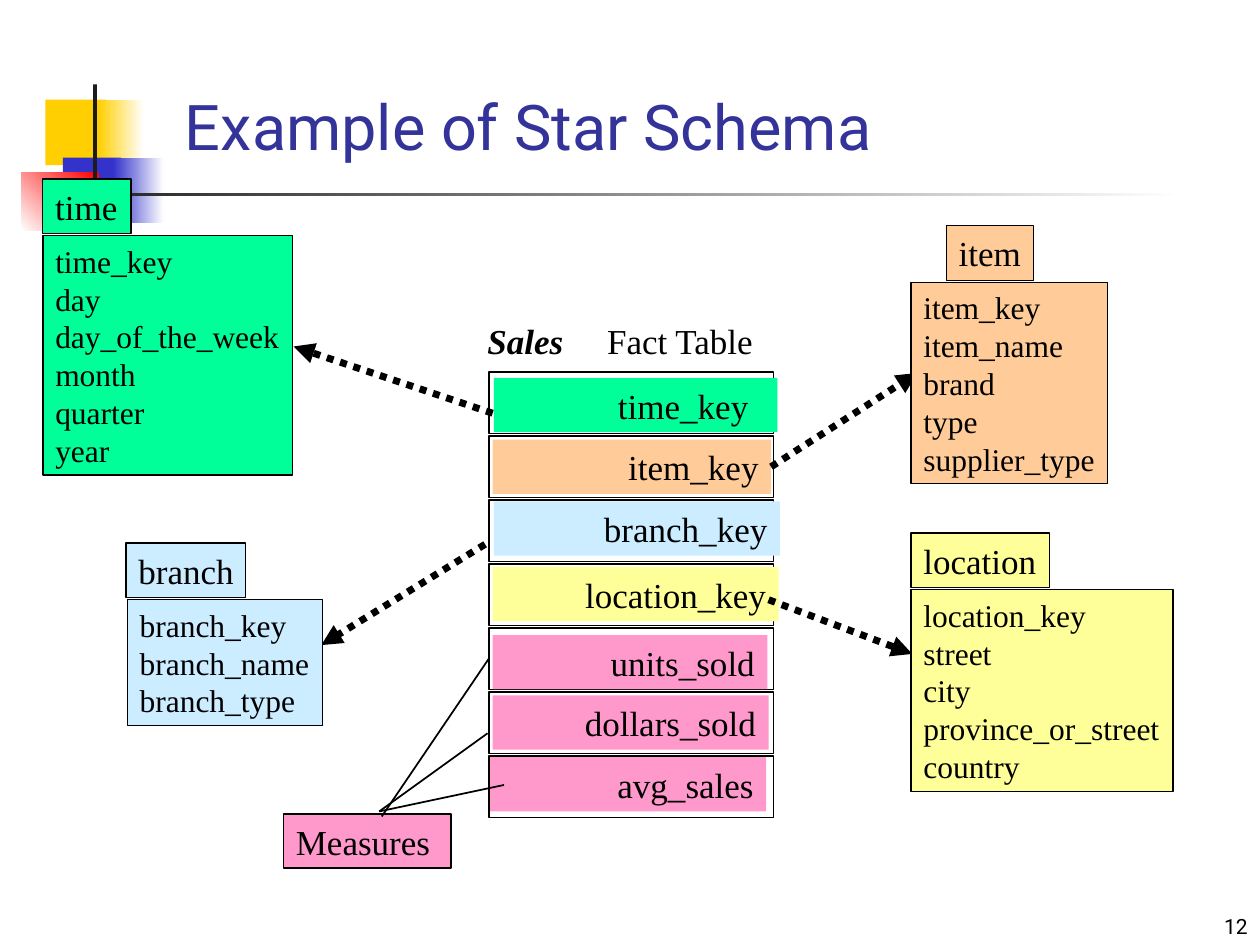
import pptx
import pptx.util
import pptx.dml.color
import pptx.enum.dml
import pptx.enum.shapes
import pptx.enum.text
import pptx.oxml
import pptx.oxml.ns

# Grid: 100 columns by 75 rows over the slide
SLIDE_W, SLIDE_H = pptx.util.Inches(10), pptx.util.Inches(7.5)
COLUMNS, ROWS = 100, 75
ALIGN = pptx.enum.text.PP_ALIGN
ANCHOR = pptx.enum.text.MSO_ANCHOR

BLACK, INK, TITLE_BLUE = "000000", "1C1C1C", "333399"
GREEN, PEACH, SKY, YELLOW, PINK = "00FF99", "FFCC99", "CCECFF", "FFFF99", "FF99CC"
SERIF, SANS = "Times New Roman", "Roboto"

HEADING_H, LINE_H, BODY_OFFSET = 4.35, 3, 4.5
FACT_LEFT, FACT_TOP, FACT_W, FACT_H, FACT_PITCH = 38.8, 29.5, 22.6, 4.9, 5.08

# Name, heading left, top, heading width, body left, body width, colour, columns
TIME = ("time", 3.4, 14.2, 7, 3.4, 19.8, GREEN,
        ["time_key", "day", "day_of_the_week", "month", "quarter", "year"])
LOCATION = ("location", 72.3, 42.3, 11, 72.3, 20.8, YELLOW,
            ["location_key", "street", "city", "province_or_street", "country"])
ITEM = ("item", 75.1, 17.9, 6.9, 72.3, 15.6, PEACH,
        ["item_key", "item_name", "brand", "type", "supplier_type"])
BRANCH = ("branch", 10, 43.1, 9.5, 10.1, 15.5, SKY,
          ["branch_key", "branch_name", "branch_type"])

# Column, left, top, width, colour, right inset
FACT_COLUMNS = [
    ("time_key", 39.2, 30, 22.5, GREEN, 2.3),
    ("item_key", 39.1, 34.9, 22.1, PEACH, 1),
    ("branch_key", 39.2, 39.8, 22.7, SKY, 1),
    ("location_key", 39.1, 45, 22.7, YELLOW, 1),
    ("units_sold", 39.1, 50.4, 21.8, PINK, 1),
    ("dollars_sold", 39.1, 55.2, 21.9, PINK, 1),
    ("avg_sales", 38.9, 60.1, 21.9, PINK, 1),
]

# Left, top, width, height, first colour, last colour, angle
ORNAMENTS = [
    (3.6, 7.9, 4.8, 5.2, "FFCF01", None, 0),
    (7.8, 7.9, 3.6, 5.2, "FFCF01", "FFFFFF", 0),
    (5, 12.5, 4.6, 5.2, "3333CC", None, 0),
    (9, 12.5, 4, 5.2, "3333CC", "FFFFFF", 0),
    (1.7, 13.7, 6.1, 4.6, "FFFFFF", "FF0000", 45),
    (7.4, 6.7, 0.3, 11.5, INK, None, 0),
    (3.9, 15.3, 90, 0.3, INK, "FFFFFF", 0),
]


def color(hex_string):
    return pptx.dml.color.RGBColor.from_string(hex_string)


def x(columns):
    return round(SLIDE_W * columns / COLUMNS)


def y(rows):
    return round(SLIDE_H * rows / ROWS)


def add_box(slide, left, top, width, height, fill=None, fade=None, angle=0, line=None):
    box = slide.shapes.add_shape(pptx.enum.shapes.MSO_SHAPE.RECTANGLE,
                                 x(left), y(top), x(width), y(height))
    box.shadow.inherit = False
    if fade:
        box.fill.gradient()
        box.fill.gradient_angle = angle
        for stop, shade in zip(box.fill.gradient_stops, (fill, fade)):
            stop.color.rgb = color(shade)
    elif fill:
        box.fill.solid()
        box.fill.fore_color.rgb = color(fill)
    else:
        box.fill.background()
    if line:
        box.line.color.rgb = color(BLACK)
        box.line.width = pptx.util.Pt(line)
    else:
        box.line.fill.background()
    return box


def write(box, text, size, font=SERIF, ink=BLACK, align=ALIGN.LEFT,
          anchor=ANCHOR.TOP, wrap=True):
    frame = box.text_frame
    frame.text = text
    frame.word_wrap = wrap
    frame.vertical_anchor = anchor
    for paragraph in frame.paragraphs:
        paragraph.alignment = align
        for run in paragraph.runs:
            run.font.size = pptx.util.Pt(size)
            run.font.name = font
            run.font.color.rgb = color(ink)


def add_label(slide, left, top, width, height, text, size, **style):
    label = slide.shapes.add_textbox(x(left), y(top), x(width), y(height))
    write(label, text, size, **style)
    return label


def add_dimension(slide, name, left, top, heading_w, body_left, body_w, fill, columns):
    body = add_box(slide, body_left, top + BODY_OFFSET, body_w,
                   len(columns) * LINE_H + 1, fill, line=0.75)
    write(body, "\n".join(columns), 18, wrap=False)
    heading = add_box(slide, left, top, heading_w, HEADING_H, fill, line=0.75)
    write(heading, name, 20, wrap=False)


def add_fact_table(slide):
    caption = add_label(slide, 37.7, 24.9, 23.4, 4.3, "Sales\tFact Table", 20)
    paragraph = caption.text_frame.paragraphs[0]
    paragraph.text = ""
    for text, strong in (("Sales", True), ("\tFact Table", False)):
        run = paragraph.add_run()
        run.text = text
        run.font.name, run.font.size = SERIF, pptx.util.Pt(20)
        run.font.bold = run.font.italic = strong
        run.font.color.rgb = color(BLACK)
    tabs = pptx.oxml.parse_xml(
        f'<a:tabLst {pptx.oxml.ns.nsdecls("a")}><a:tab pos="{x(9.5)}" algn="l"/></a:tabLst>')
    paragraph._p.get_or_add_pPr().append(tabs)

    frames, cells = {}, {}
    for row, (name, left, top, width, fill, inset) in enumerate(FACT_COLUMNS):
        frames[name] = add_box(slide, FACT_LEFT, FACT_TOP + row * FACT_PITCH,
                               FACT_W, FACT_H, line=1)
        cells[name] = add_box(slide, left, top, width, 4.3, fill)
        cells[name].text_frame.margin_right = x(inset)
        write(cells[name], name, 20, align=ALIGN.RIGHT)
    return frames, cells


def add_link(slide, start, end, width=1, arrow=False):
    link = slide.shapes.add_connector(pptx.enum.shapes.MSO_CONNECTOR.STRAIGHT,
                                      x(start[0]), y(start[1]), x(end[0]), y(end[1]))
    link.line.color.rgb = color(BLACK)
    link.line.width = pptx.util.Pt(width)
    namespace = pptx.oxml.ns.nsdecls("a")
    if arrow:
        link.line.dash_style = pptx.enum.dml.MSO_LINE.ROUND_DOT
        link.line._get_or_add_ln().append(
            pptx.oxml.parse_xml(f'<a:tailEnd {namespace} type="triangle"/>'))
    link._element.spPr.append(pptx.oxml.parse_xml(f"<a:effectLst {namespace}/>"))
    return link


def main():
    deck = pptx.Presentation()
    deck.slide_width, deck.slide_height = SLIDE_W, SLIDE_H
    slide = deck.slides.add_slide(deck.slide_layouts[6])

    # Ornaments, page number and title
    for left, top, width, height, fill, fade, angle in ORNAMENTS:
        add_box(slide, left, top, width, height, fill, fade, angle)
    add_label(slide, 79.2, 70, 20.8, 5, "12", 12, font=SANS,
              align=ALIGN.RIGHT, anchor=ANCHOR.BOTTOM)
    add_label(slide, 13.7, 8.6, 79, 4.8, "Example of Star Schema", 36, font=SANS,
              ink=TITLE_BLUE, anchor=ANCHOR.BOTTOM)

    # Dimensions behind the arrows, and the fact table
    add_dimension(slide, *TIME)
    add_dimension(slide, *LOCATION)
    frames, cells = add_fact_table(slide)

    # Measures and their lines
    measures = add_box(slide, 22.5, 64.6, 13.3, 4.3, PINK, line=0.75)
    write(measures, "Measures", 20)
    units_line = add_link(slide, (30.3, 64.8), (38.7, 52.3))
    units_line.end_connect(frames["units_sold"], 1)
    for end in ((38.7, 58.2), (40, 62.3)):
        add_link(slide, (30.1, 64.4), end)

    # Dotted arrows from keys to dimensions
    for start, end in (((38.5, 43.2), (25.5, 51.2)),
                       ((39.1, 32.8), (23.3, 27.5)),
                       ((61, 47.6), (72.4, 51.9))):
        add_link(slide, start, end, 4, arrow=True)
    item_arrow = add_link(slide, (61, 37), (72.8, 29.6), 4, arrow=True)
    item_arrow.begin_connect(cells["item_key"], 3)

    # Dimensions in front of the arrows
    add_dimension(slide, *ITEM)
    add_dimension(slide, *BRANCH)

    deck.save("out.pptx")


if __name__ == "__main__":
    main()
